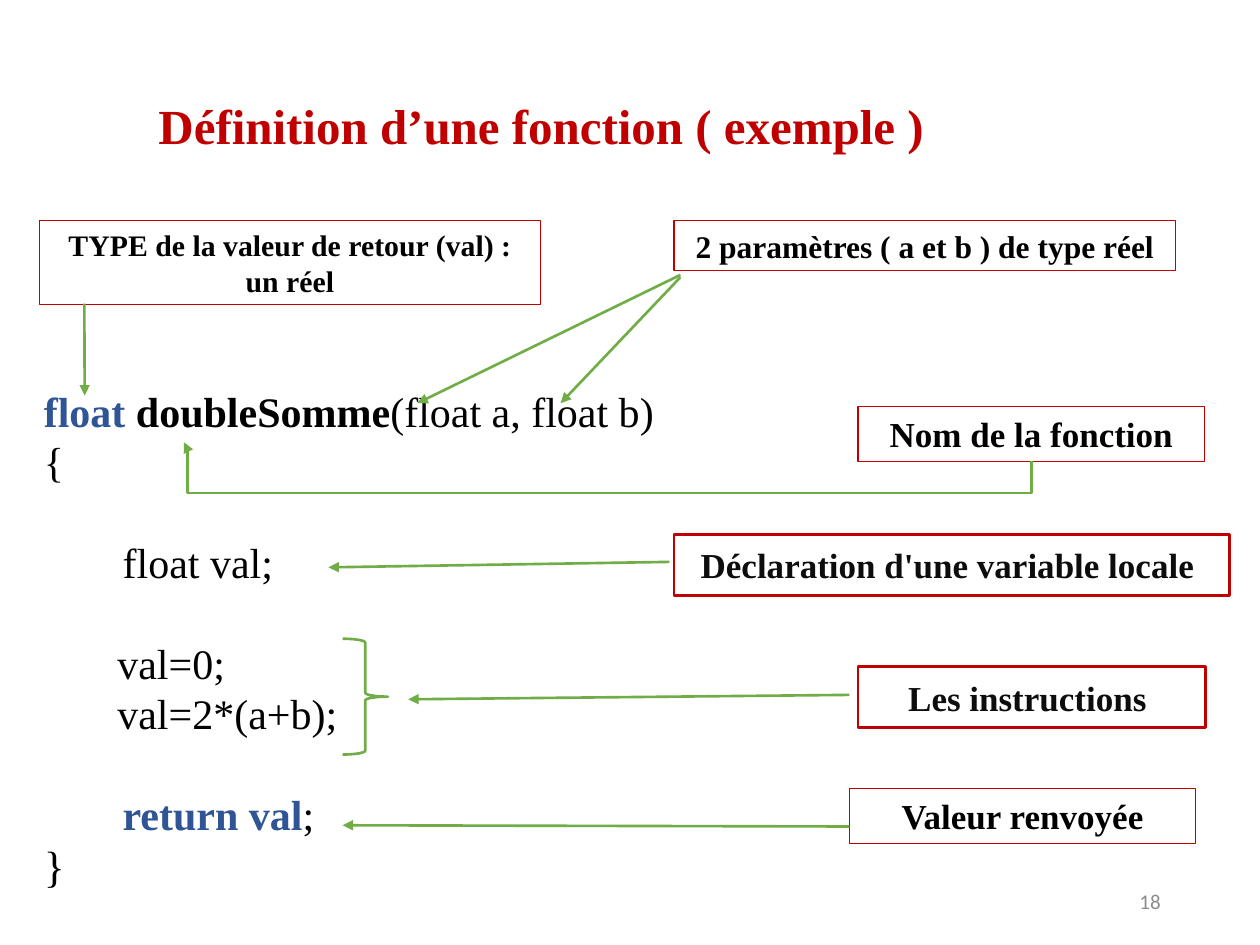
from dataclasses import dataclass

from lxml.etree import SubElement
from pptx import Presentation
from pptx.dml.color import RGBColor
from pptx.enum.shapes import MSO_CONNECTOR, MSO_SHAPE
from pptx.enum.text import MSO_ANCHOR, PP_ALIGN
from pptx.oxml.ns import qn
from pptx.shapes.connector import Connector
from pptx.slide import Slide
from pptx.util import Pt

COLOURS = {
    "red": "C00000",
    "green": "70AD47",
    "blue": "2F5597",
    "black": "000000",
    "dark": "0D0D0D",
    "grey": "8C8C8C",
    "white": "FFFFFF",
}
SERIF = "Times New Roman"
CODE_SIZE = 24
BLANK_LINE = 28.8
TAB_INDENT = 45
SPACE_INDENT = 42


@dataclass
class Label:
    text: str
    left: float
    top: float
    width: float
    height: float
    size: float = 20
    colour: str = "black"
    border: float = 0.75
    anchor: MSO_ANCHOR = MSO_ANCHOR.TOP


@dataclass
class Arrow:
    start: tuple[float, float]
    end: tuple[float, float]


@dataclass
class Token:
    text: str
    colour: str = "black"
    bold: bool = False
    size: float = CODE_SIZE


@dataclass
class CodeLine:
    tokens: list[Token]
    indent: float = 0
    gap: float = 0


LABELS = [
    Label("TYPE de la valeur de retour (val) : un réel", 22.4, 126, 286.6, 48.1, 17),
    Label("2 paramètres ( a et b ) de type réel", 385.2, 126, 286.6, 28.8, 18),
    Label("Nom de la fonction", 490.3, 232.4, 198, 31.2),
    Label("Valeur renvoyée", 485.3, 450.7, 198, 31.2),
    Label("Les instructions ", 490.3, 380.9, 198.7, 35, 20, "dark", 1.5, MSO_ANCHOR.MIDDLE),
    Label("Déclaration d'une variable locale ", 385.2, 305.3, 317.5, 35, 20, "dark", 1.5,
          MSO_ANCHOR.MIDDLE),
]

ARROWS = [
    Arrow((48.2, 173.5), (48.4, 226)),
    Arrow((485.3, 472.3), (195.8, 471.6)),
    Arrow((485.3, 397.1), (233.3, 399.6)),
    Arrow((388.8, 158.4), (320.4, 230.4)),
    Arrow((388.8, 157.1), (238.5, 230.4)),
    Arrow((382.5, 321.1), (187.7, 324.2)),
]

CODE = [
    CodeLine([Token("float ", "blue", True), Token("doubleSomme", bold=True),
              Token("(float a, float b)")]),
    CodeLine([Token("{")]),
    CodeLine([Token("float val;")], TAB_INDENT, BLANK_LINE),
    CodeLine([Token("val=0;")], SPACE_INDENT, BLANK_LINE),
    CodeLine([Token("val=2*(a+b);")], SPACE_INDENT),
    CodeLine([Token("return val", "blue", True), Token(";")], TAB_INDENT, BLANK_LINE),
    CodeLine([Token("}", size=25)]),
]


def colour_of(name: str) -> RGBColor:
    return RGBColor.from_string(COLOURS[name])


def format_run(run, size: float, colour: str, bold: bool, font: str = SERIF) -> None:
    run.font.name = font
    run.font.size = Pt(size)
    run.font.bold = bold
    run.font.color.rgb = colour_of(colour)


def add_text(slide: Slide, text: str, box: tuple[float, float, float, float], size: float,
             colour: str, bold: bool, font: str = SERIF, align: PP_ALIGN = PP_ALIGN.LEFT,
             anchor: MSO_ANCHOR = MSO_ANCHOR.TOP) -> None:
    text_frame = slide.shapes.add_textbox(*map(Pt, box)).text_frame
    text_frame.word_wrap = True
    text_frame.vertical_anchor = anchor
    text_frame.text = text
    paragraph = text_frame.paragraphs[0]
    paragraph.alignment = align
    format_run(paragraph.runs[0], size, colour, bold, font)


def add_label(slide: Slide, label: Label) -> None:
    shape = slide.shapes.add_shape(MSO_SHAPE.RECTANGLE, Pt(label.left), Pt(label.top),
                                   Pt(label.width), Pt(label.height))
    shape.shadow.inherit = False
    shape.fill.solid()
    shape.fill.fore_color.rgb = colour_of("white")
    shape.line.color.rgb = colour_of("red")
    shape.line.width = Pt(label.border)
    text_frame = shape.text_frame
    text_frame.word_wrap = True
    text_frame.vertical_anchor = label.anchor
    text_frame.text = label.text
    paragraph = text_frame.paragraphs[0]
    paragraph.alignment = PP_ALIGN.CENTER
    format_run(paragraph.runs[0], label.size, label.colour, True)


def add_arrow(slide: Slide, arrow: Arrow,
              kind: MSO_CONNECTOR = MSO_CONNECTOR.STRAIGHT) -> Connector:
    connector = slide.shapes.add_connector(kind, *map(Pt, arrow.start + arrow.end))
    connector.line.color.rgb = colour_of("green")
    connector.line.width = Pt(1.5)
    properties = connector._element.spPr
    SubElement(properties.find(qn("a:ln")), qn("a:tailEnd"), type="triangle")
    SubElement(properties, qn("a:effectLst"))
    return connector


def add_bent_arrow(slide: Slide) -> None:
    # Laid out upright, then turned a quarter
    connector = add_arrow(slide, Arrow((352.8, 15.84), (342, 500.4)), MSO_CONNECTOR.ELBOW)
    properties = connector._element.spPr
    properties.find(qn("a:xfrm")).set("rot", "5400000")
    geometry = properties.find(qn("a:prstGeom"))
    geometry.set("prst", "bentConnector4")
    adjustments = geometry.find(qn("a:avLst"))
    if adjustments is None:
        adjustments = SubElement(geometry, qn("a:avLst"))
    for name, value in (("adj1", -169200), ("adj2", 99600)):
        SubElement(adjustments, qn("a:gd"), name=name, fmla=f"val {value}")


def add_code(slide: Slide) -> None:
    text_frame = slide.shapes.add_textbox(Pt(18), Pt(216.7), Pt(684), Pt(298.8)).text_frame
    text_frame.word_wrap = True
    for index, line in enumerate(CODE):
        paragraph = text_frame.add_paragraph() if index else text_frame.paragraphs[0]
        paragraph.space_before = Pt(line.gap)
        paragraph._p.get_or_add_pPr().set("marL", str(Pt(line.indent)))
        for token in line.tokens:
            run = paragraph.add_run()
            run.text = token.text
            format_run(run, token.size, token.colour, token.bold)


def add_brace(slide: Slide) -> None:
    brace = slide.shapes.add_shape(MSO_SHAPE.RIGHT_BRACE, Pt(195.8), Pt(365), Pt(25.9), Pt(66.2))
    brace.shadow.inherit = False
    brace.fill.background()
    brace.line.color.rgb = colour_of("green")
    brace.line.width = Pt(1.5)


presentation = Presentation()
presentation.slide_width, presentation.slide_height = Pt(720), Pt(540)
slide = presentation.slides.add_slide(presentation.slide_layouts[6])

# Page number, code and title
add_text(slide, "18", (508.3, 500.4, 162, 28.8), 12, "grey", False, "Calibri",
         PP_ALIGN.RIGHT, MSO_ANCHOR.MIDDLE)
add_code(slide)
add_text(slide, "Définition d’une fonction ( exemple )", (83.5, 51.1, 491.8, 74.9), 28, "red", True)

# Annotations
for label in LABELS:
    add_label(slide, label)
for arrow in ARROWS:
    add_arrow(slide, arrow)
add_bent_arrow(slide)
add_brace(slide)

presentation.save("out.pptx")
